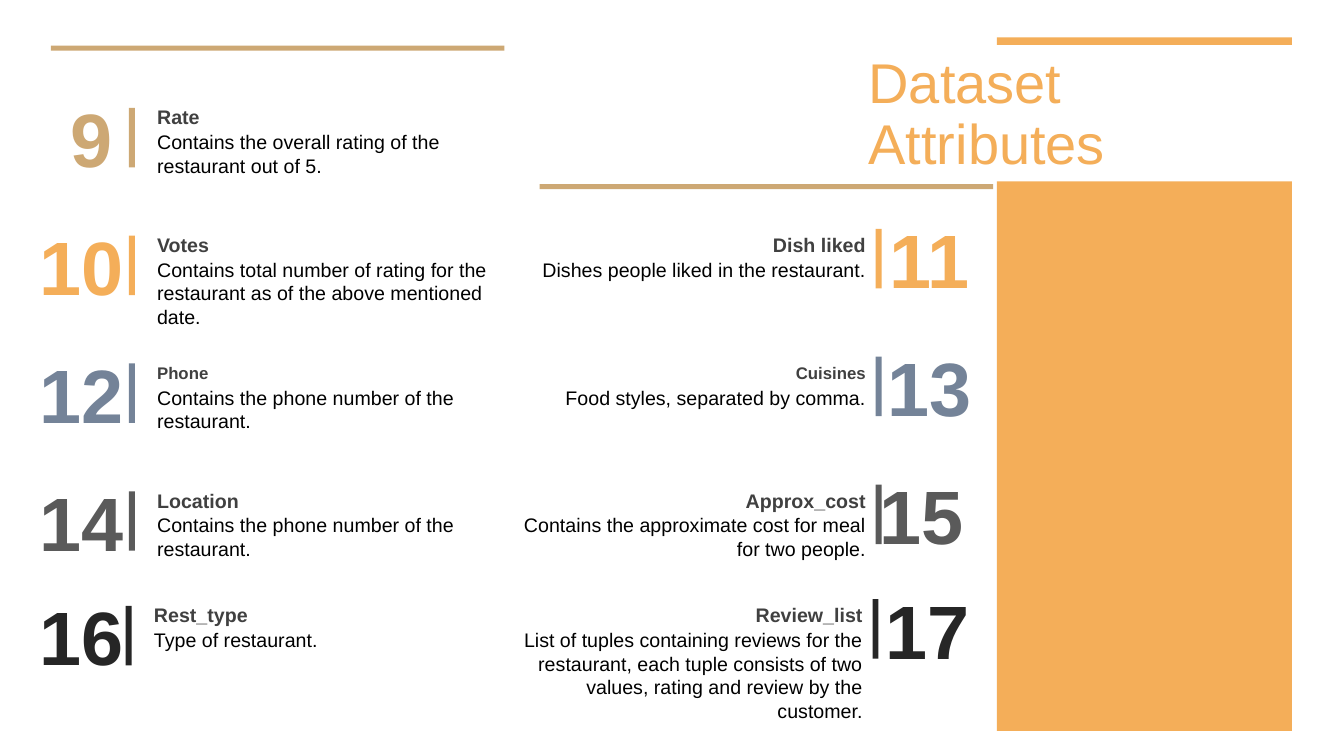
from dataclasses import dataclass

from pptx import Presentation
from pptx.dml.color import RGBColor
from pptx.enum.shapes import MSO_SHAPE
from pptx.enum.text import MSO_ANCHOR, MSO_AUTO_SIZE, PP_ALIGN
from pptx.shapes.autoshape import Shape
from pptx.slide import Slide
from pptx.text.text import TextFrame
from pptx.util import Cm, Pt

RECTANGLE = MSO_SHAPE.RECTANGLE
TOP, MIDDLE = MSO_ANCHOR.TOP, MSO_ANCHOR.MIDDLE
LEFT, RIGHT, JUSTIFY = PP_ALIGN.LEFT, PP_ALIGN.RIGHT, PP_ALIGN.JUSTIFY
NO_FIT, GROW = MSO_AUTO_SIZE.NONE, MSO_AUTO_SIZE.SHAPE_TO_FIT_TEXT

WHITE = RGBColor(0xFF, 0xFF, 0xFF)
BLACK = RGBColor(0x00, 0x00, 0x00)
ORANGE = RGBColor(0xF4, 0xAE, 0x59)
TAN = RGBColor(0xCD, 0xA8, 0x74)
SLATE = RGBColor(0x74, 0x83, 0x98)
GRAY = RGBColor(0x5A, 0x5A, 0x5A)
CHARCOAL = RGBColor(0x26, 0x26, 0x26)
HEADING_GRAY = RGBColor(0x40, 0x40, 0x40)

FONT = "Arial"
TEXT_WIDTH = 9.55
NUMBER_HEIGHT = 2.31
ROW_COLORS = (TAN, ORANGE, SLATE, GRAY, CHARCOAL)
LAST_ROW = len(ROW_COLORS) - 1
ROW_TOPS = [2.72 + 3.22 * row for row in range(LAST_ROW)] + [15.27]


@dataclass(frozen=True)
class Side:
    text_left: float
    bar_left: float
    bar_lift: float
    alignment: PP_ALIGN


@dataclass(frozen=True)
class Attribute:
    side: Side
    row: int
    number: str
    number_left: float
    number_width: float
    heading: str
    description: str
    lines: int = 1
    heading_size: int = 14


LEFT_SIDE = Side(3.71, 3.25, 0, LEFT)
RIGHT_SIDE = Side(12.52, 22.07, 0.17, RIGHT)

ATTRIBUTES = (
    Attribute(LEFT_SIDE, 0, "9", 1.78, 1.19, "Rate",
              "Contains the overall rating of the restaurant out of 5.", 2),
    Attribute(LEFT_SIDE, 1, "10", 0.99, 2.18, "Votes",
              "Contains total number of rating for the restaurant "
              "as of the above mentioned date.", 3),
    Attribute(LEFT_SIDE, 2, "12", 0.99, 2.46, "Phone",
              "Contains the phone number of the restaurant.", 2, 12),
    Attribute(LEFT_SIDE, 3, "14", 0.99, 2.18, "Location",
              "Contains the phone number of the restaurant.", 2),
    Attribute(LEFT_SIDE, 4, "16", 0.99, 2.39, "Rest_type", "Type of restaurant."),
    Attribute(RIGHT_SIDE, 1, "11", 21.84, 2.59, "Dish liked",
              "Dishes people liked in the restaurant."),
    Attribute(RIGHT_SIDE, 2, "13", 21.84, 2.64, "Cuisines",
              "Food styles, separated by comma.", 1, 12),
    Attribute(RIGHT_SIDE, 3, "15", 21.84, 2.44, "Approx_cost",
              "Contains the approximate cost for meal for two people.", 2),
    Attribute(RIGHT_SIDE, 4, "17", 21.84, 2.59, "Review_list",
              "List of tuples containing reviews for the restaurant, each tuple "
              "consists of two values, rating and review by the customer.", 4),
)


def add_bar(slide: Slide, left: float, top: float, width: float, height: float,
            color: RGBColor) -> Shape:
    bar = slide.shapes.add_shape(RECTANGLE, Cm(left), Cm(top), Cm(width), Cm(height))
    bar.shadow.inherit = False
    bar.fill.solid()
    bar.fill.fore_color.rgb = color
    bar.line.fill.background()
    return bar


def write(frame: TextFrame, lines: list[str], size: int, color: RGBColor,
          alignment: PP_ALIGN, bold: bool = False, spacing: float = 1.0) -> None:
    for index, line in enumerate(lines):
        paragraph = frame.add_paragraph() if index else frame.paragraphs[0]
        paragraph.alignment = alignment
        paragraph.line_spacing = spacing
        run = paragraph.add_run()
        run.text = line
        run.font.name = FONT
        run.font.size = Pt(size)
        run.font.bold = bold
        run.font.color.rgb = color


def add_text_box(slide: Slide, left: float, top: float, width: float, height: float,
                 anchor: MSO_ANCHOR) -> TextFrame:
    box = slide.shapes.add_textbox(Cm(left), Cm(top), Cm(width), Cm(height))
    frame = box.text_frame
    frame.word_wrap = True
    frame.auto_size = GROW
    frame.vertical_anchor = anchor
    return frame


def add_attribute(slide: Slide, attribute: Attribute) -> None:
    side = attribute.side
    row_top = ROW_TOPS[attribute.row]
    color = ROW_COLORS[attribute.row]
    shift = -0.08 if attribute.row == LAST_ROW else 0
    text_left = side.text_left + shift
    bar_top = row_top - side.bar_lift

    number = add_text_box(slide, attribute.number_left, bar_top - 0.41,
                          attribute.number_width, NUMBER_HEIGHT, MIDDLE)
    number.margin_left = number.margin_right = 0
    number.margin_top = number.margin_bottom = 0
    write(number, [attribute.number], 54, color, side.alignment, bold=True)

    heading_height = 0.06 * attribute.heading_size + 0.03
    heading = add_text_box(slide, text_left, row_top + 0.23 - heading_height / 2,
                           TEXT_WIDTH, heading_height, MIDDLE)
    write(heading, [attribute.heading], attribute.heading_size, HEADING_GRAY,
          side.alignment, bold=True)

    description = add_text_box(slide, text_left, row_top + 0.43, TEXT_WIDTH,
                               0.28 + 0.59 * attribute.lines, TOP)
    write(description, [attribute.description], 14, BLACK, side.alignment)

    add_bar(slide, side.bar_left + shift, bar_top, 0.15, 1.5, color)


def add_title(slide: Slide, column: Shape) -> None:
    title = slide.shapes.title
    title.left, title.top = Cm(21.64), Cm(1.14)
    title.width, title.height = Cm(10.92), Cm(3.43)
    title.fill.solid()
    title.fill.fore_color.rgb = WHITE
    frame = title.text_frame
    frame.word_wrap = True
    frame.auto_size = NO_FIT
    frame.vertical_anchor = MIDDLE
    frame.margin_left = frame.margin_right = frame.margin_top = Cm(0.25)
    frame.margin_bottom = Cm(0.13)
    write(frame, ["Dataset", "Attributes"], 40, ORANGE, JUSTIFY, spacing=0.9)
    column.element.addnext(title.element)


def main() -> None:
    presentation = Presentation()
    presentation.slide_width = Cm(33.87)
    presentation.slide_height = Cm(19.05)
    title_only = presentation.slide_layouts.get_by_name("Title Only")
    slide = presentation.slides.add_slide(title_only)

    column = add_bar(slide, 25.12, 0.94, 7.44, 17.48, ORANGE)
    add_title(slide, column)
    for left, top in ((1.28, 1.15), (13.6, 4.64)):
        add_bar(slide, left, top, 11.43, 0.13, TAN)
    for attribute in ATTRIBUTES:
        add_attribute(slide, attribute)

    presentation.save("out.pptx")


if __name__ == "__main__":
    main()
